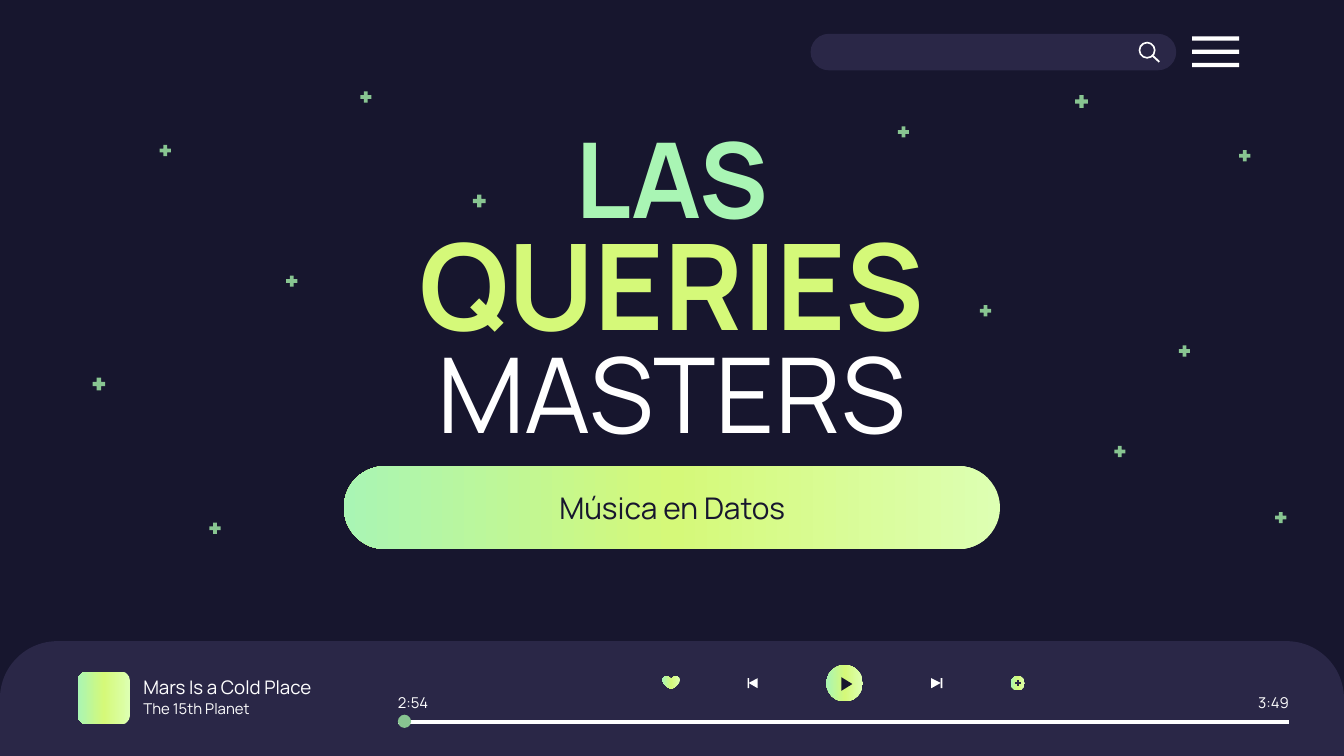
"""Build the music-player cover slide for Las Queries Masters."""
from copy import deepcopy

from pptx import Presentation
from pptx.dml.color import RGBColor
from pptx.enum.shapes import MSO_CONNECTOR, MSO_SHAPE
from pptx.enum.text import MSO_ANCHOR, MSO_AUTO_SIZE, PP_ALIGN
from pptx.oxml.ns import qn
from pptx.oxml.xmlchemy import OxmlElement
from pptx.util import Cm, Pt

NIGHT, PANEL, WHITE = "17162E", "2A2747", "FFFFFF"
MINT, LIME, LEAF = "A9F5B4", "D5F979", "88C591"
GRADIENT = ["DDFFB2", LIME, MINT]


def color(value):
    return RGBColor.from_string(value)


def set_attributes(target, values):
    for name, value in values.items():
        setattr(target, name, value)


class PlayerSlide:
    font = "Manrope"

    def __init__(self, presentation):
        self.slide = presentation.slides.add_slide(presentation.slide_layouts[5])
        self.shapes = self.slide.shapes
        background = self.slide.background.fill
        background.solid()
        background.fore_color.rgb = color(NIGHT)

    def paint(self, shape, fill):
        shape.shadow.inherit = False
        shape.line.fill.background()
        if isinstance(fill, str):
            shape.fill.solid()
            shape.fill.fore_color.rgb = color(fill)
            return
        shape.fill.gradient()
        shape.fill.gradient_angle = 180
        stop_list = shape._element.spPr.find(qn("a:gradFill")).find(qn("a:gsLst"))
        stop_list.append(deepcopy(stop_list[-1]))
        for index, stop in enumerate(shape.fill.gradient_stops):
            stop.position = index / 2
            stop.color.rgb = color(fill[index])

    def shape(self, kind, left, top, width, height, fill, adjustments=()):
        shape = self.shapes.add_shape(kind, Cm(left), Cm(top), Cm(width), Cm(height))
        for index, value in enumerate(adjustments):
            shape.adjustments[index] = value
        self.paint(shape, fill)

    def polygon(self, points, fill):
        points = [(Cm(x), Cm(y)) for x, y in points]
        builder = self.shapes.build_freeform(*points[0])
        builder.add_line_segments(points[1:], close=True)
        self.paint(builder.convert_to_shape(), fill)

    def line(self, start, end, stroke, width):
        connector = self.shapes.add_connector(
            MSO_CONNECTOR.STRAIGHT, *(Cm(value) for value in start + end))
        connector.line.color.rgb = color(stroke)
        connector.line.width = Pt(width)
        connector._element.spPr.append(OxmlElement("a:effectLst"))

    def fill_text(self, shape, box, paragraphs, align=PP_ALIGN.LEFT,
                  anchor=MSO_ANCHOR.MIDDLE, side=0.25, spacing=1.0):
        set_attributes(shape, dict(zip(("left", "top", "width", "height"), map(Cm, box))))
        frame = shape.text_frame
        set_attributes(frame, {
            "word_wrap": True, "auto_size": MSO_AUTO_SIZE.NONE, "vertical_anchor": anchor,
            "margin_left": Cm(side), "margin_right": Cm(side),
            "margin_top": Cm(0.25), "margin_bottom": Cm(0.25)})
        for index, runs in enumerate(paragraphs):
            paragraph = frame.add_paragraph() if index else frame.paragraphs[0]
            set_attributes(paragraph, {"alignment": align, "line_spacing": spacing})
            for text, size, ink, bold in runs:
                run = paragraph.add_run()
                run.text = text
                set_attributes(run.font, {"name": self.font, "size": Pt(size), "bold": bold})
                run.font.color.rgb = color(ink)

    def title(self, box, paragraphs):
        self.fill_text(self.shapes.title, box, paragraphs, PP_ALIGN.CENTER,
                       MSO_ANCHOR.BOTTOM, spacing=0.8)

    def text(self, box, text, size, ink=WHITE, **layout):
        shape = self.shapes.add_textbox(*map(Cm, box))
        self.fill_text(shape, box, [[(text, size, ink, False)]], **layout)


def add_search(slide):
    slide.shape(MSO_SHAPE.ROUNDED_RECTANGLE, 15.32, 0.64, 6.91, 0.69, PANEL, [0.5])
    for index in range(3):
        slide.shape(MSO_SHAPE.RECTANGLE, 22.53, 0.69 + 0.25 * index, 0.89, 0.08, WHITE)
    slide.shape(MSO_SHAPE.DONUT, 21.52, 0.79, 0.32, 0.32, WHITE, [0.1])
    slide.line((21.78, 1.05), (21.91, 1.17), WHITE, 1)


def add_player(slide):
    slide.shape(MSO_SHAPE.ROUND_2_SAME_RECTANGLE, 0, 12.12, 25.4, 2.17, PANEL, [0.5, 0])
    slide.shape(MSO_SHAPE.ROUNDED_RECTANGLE, 1.47, 12.7, 0.99, 0.99, GRADIENT, [0.17])
    slide.text((2.46, 12.78, 4.85, 0.43), "Mars Is a Cold Place", 10)
    slide.text((2.46, 13.18, 2.92, 0.43), "The 15th Planet", 8)
    slide.text((7.52, 13.06, 0.69, 0.43), "2:54", 8, side=0)
    slide.text((23.67, 13.06, 0.69, 0.43), "3:49", 8, side=0, align=PP_ALIGN.RIGHT)

    slide.shape(MSO_SHAPE.HEART, 12.52, 12.78, 0.33, 0.25, GRADIENT)
    slide.shape(MSO_SHAPE.OVAL, 19.1, 12.78, 0.27, 0.27, GRADIENT)
    slide.line((19.24, 12.86), (19.24, 12.96), PANEL, 0.75)
    slide.line((19.19, 12.91), (19.29, 12.91), PANEL, 0.75)
    slide.shape(MSO_SHAPE.OVAL, 15.62, 12.57, 0.69, 0.69, GRADIENT)
    slide.polygon([(15.9, 12.8), (15.9, 13.06), (16.11, 12.93)], NIGHT)
    for base, tip, bar in ((17.6, 17.78, 17.78), (14.32, 14.15, 14.13)):
        slide.polygon([(base, 12.82), (base, 13.01), (tip, 12.91)], WHITE)
        slide.shape(MSO_SHAPE.RECTANGLE, bar, 12.82, 0.03, 0.19, WHITE)

    slide.line((7.52, 13.64), (24.36, 13.64), WHITE, 2.25)
    slide.shape(MSO_SHAPE.OVAL, 7.52, 13.51, 0.25, 0.25, LEAF)


def add_sparkles(slide):
    sparkles = {
        0.24: [(20.32, 1.8), (8.94, 3.68), (1.75, 7.14)],
        0.21: [(22.28, 6.53), (6.81, 1.73), (16.97, 2.39), (3.96, 9.88), (21.06, 8.43),
               (3.02, 2.74), (5.41, 5.21), (18.52, 5.77), (24.1, 9.68), (23.42, 2.84)],
    }
    for size, places in sparkles.items():
        for left, top in places:
            slide.shape(MSO_SHAPE.CROSS, left, top, size, size, LEAF, [0.33])


def main():
    presentation = Presentation()
    set_attributes(presentation, {"slide_width": Cm(25.4), "slide_height": Cm(14.29)})
    slide = PlayerSlide(presentation)
    add_search(slide)
    add_player(slide)
    slide.shape(MSO_SHAPE.ROUNDED_RECTANGLE, 6.5, 8.81, 12.4, 1.57, GRADIENT, [0.5])
    slide.text((6.81, 9.14, 11.79, 0.91), "Música en Datos", 16, NIGHT, align=PP_ALIGN.CENTER)
    slide.title((6.88, 2.95, 11.63, 5.87), [
        [("LAS ", 56, MINT, True), ("QUERIES", 64, LIME, True)],
        [("MASTERS", 56, WHITE, False)]])
    add_sparkles(slide)
    presentation.save("out.pptx")


if __name__ == "__main__":
    main()
